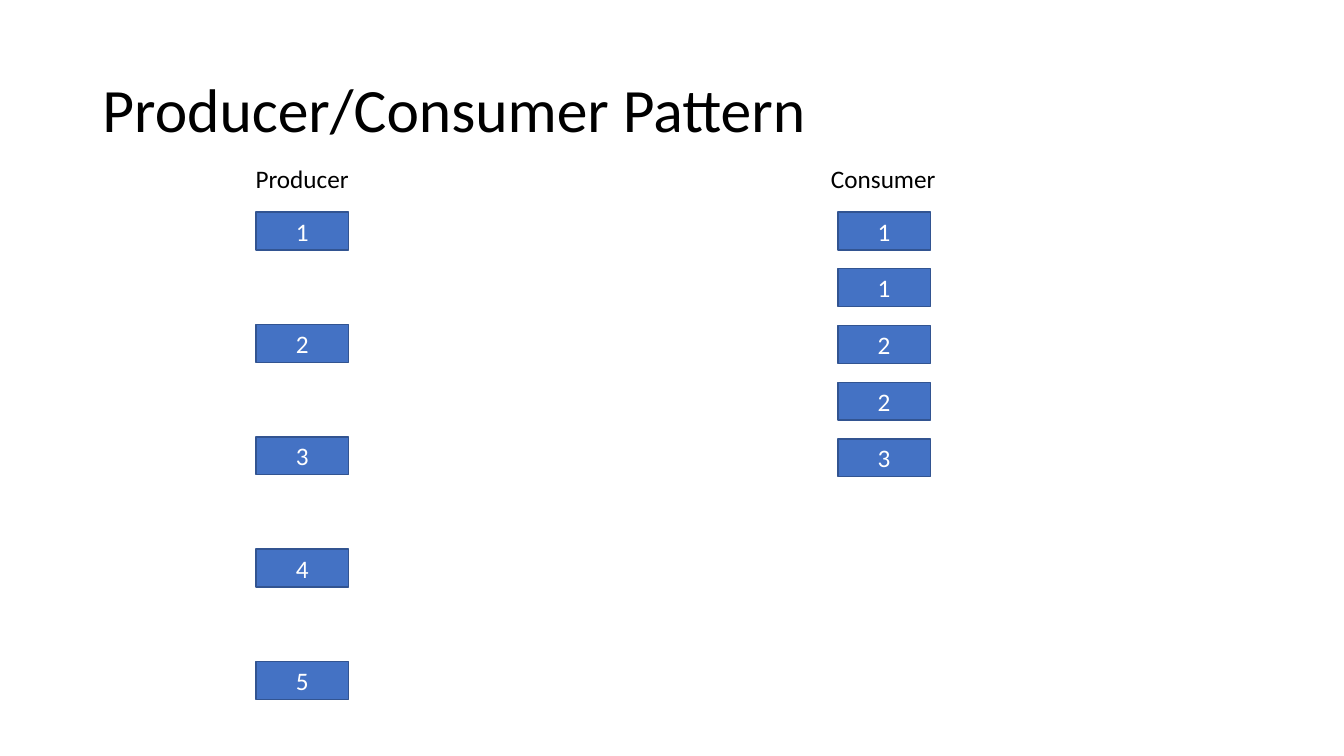
from dataclasses import dataclass

from pptx import Presentation
from pptx.dml.color import RGBColor as Rgb
from pptx.enum.shapes import MSO_SHAPE as Kind
from pptx.enum.text import MSO_ANCHOR as Anchor, MSO_AUTO_SIZE as Fit, PP_ALIGN as Align
from pptx.util import Pt

# Content: heading, heading left and width, box left, row pitch, items
TITLE = "Producer/Consumer Pattern"
LANES = [
    ("Producer", 234, 109, 244, 107, ["1", "2", "3", "4", "5"]),
    ("Consumer", 782, 120, 798, 54, ["1", "1", "2", "2", "3"]),
]

# Layout in px
PX = 9525
PAGE = (1280, 720)
HEAD = (88, 38, 1104, 139)
LABEL_TOP, LABEL_H = 151, 38
BOX_TOP, BOX_W, BOX_H = 202, 88, 36


@dataclass(frozen=True)
class Theme:
    font: str = "Calibri"
    ink: Rgb = Rgb(0, 0, 0)
    light: Rgb = Rgb(255, 255, 255)
    fill: Rgb = Rgb(0x44, 0x72, 0xC4)
    edge: Rgb = Rgb(0x32, 0x54, 0x91)
    head: int = 44
    body: int = 18


THEME = Theme()


def emu(*px):
    return [n * PX for n in px]


def write(shape, text, size=THEME.body, color=THEME.ink, align=Align.LEFT,
          anchor=Anchor.MIDDLE, wrap=True, fit=Fit.NONE, space=1.0):
    frame = shape.text_frame
    frame.text = text
    frame.word_wrap, frame.auto_size = wrap, fit
    frame.vertical_anchor = anchor
    para = frame.paragraphs[0]
    para.alignment, para.line_spacing = align, space
    font = para.runs[0].font
    font.name, font.size, font.color.rgb = THEME.font, Pt(size), color


def add_box(slide, text, left, top):
    box = slide.shapes.add_shape(Kind.RECTANGLE, *emu(left, top, BOX_W, BOX_H))
    box.shadow.inherit = False
    box.fill.solid()
    box.fill.fore_color.rgb = THEME.fill
    box.line.color.rgb = THEME.edge
    box.line.width = Pt(1)
    write(box, text, color=THEME.light, align=Align.CENTER)


def main():
    deck = Presentation()
    deck.slide_width, deck.slide_height = emu(*PAGE)
    slide = deck.slides.add_slide(deck.slide_layouts[5])

    # Title
    title = slide.shapes.title
    title.left, title.top, title.width, title.height = emu(*HEAD)
    write(title, TITLE, size=THEME.head, space=0.9)

    # Lanes
    for name, name_x, name_w, box_x, pitch, items in LANES:
        label = slide.shapes.add_textbox(*emu(name_x, LABEL_TOP, name_w, LABEL_H))
        write(label, name, anchor=Anchor.TOP, wrap=False, fit=Fit.SHAPE_TO_FIT_TEXT)
        for row, item in enumerate(items):
            add_box(slide, item, box_x, BOX_TOP + row * pitch)

    deck.save("out.pptx")


if __name__ == "__main__":
    main()
